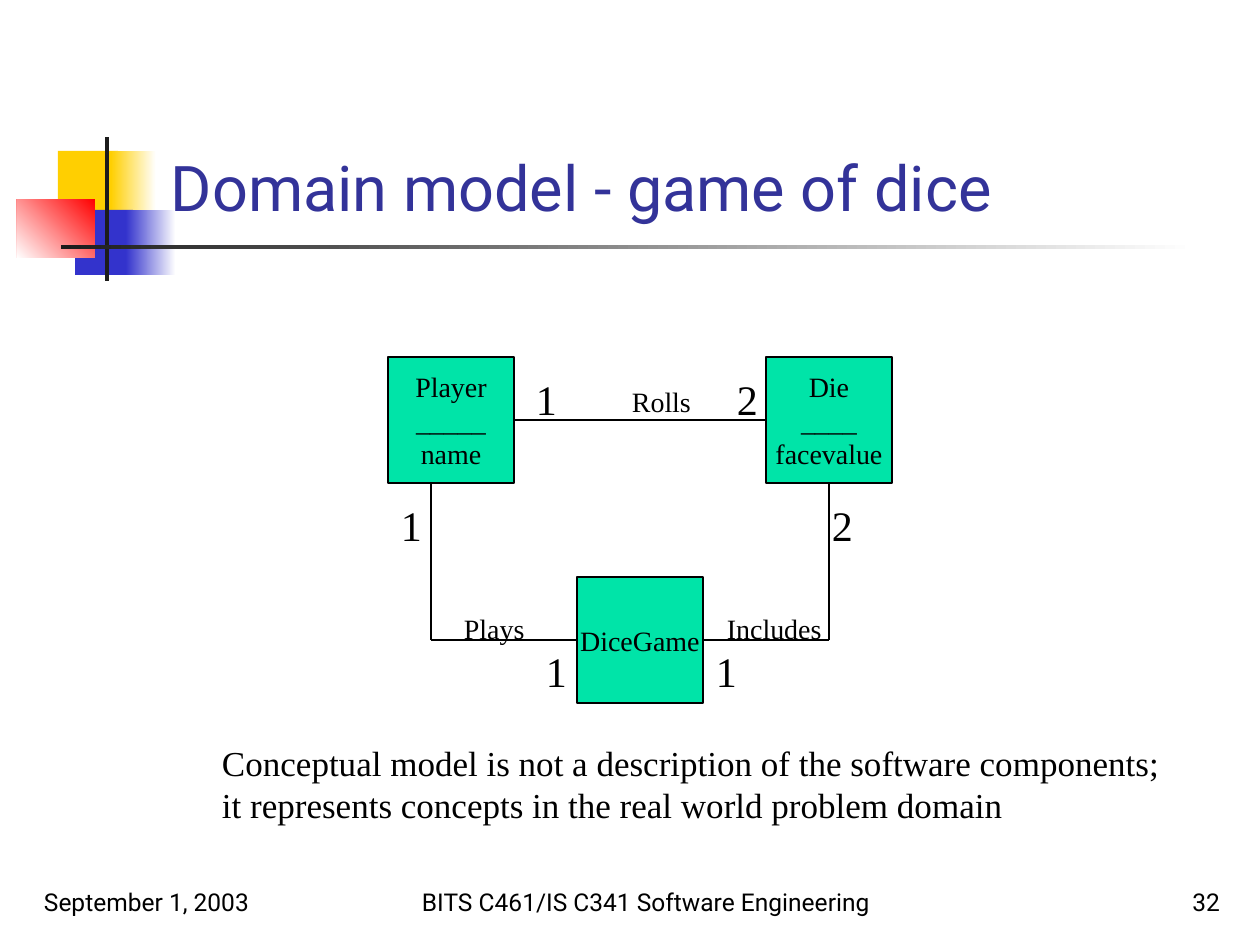
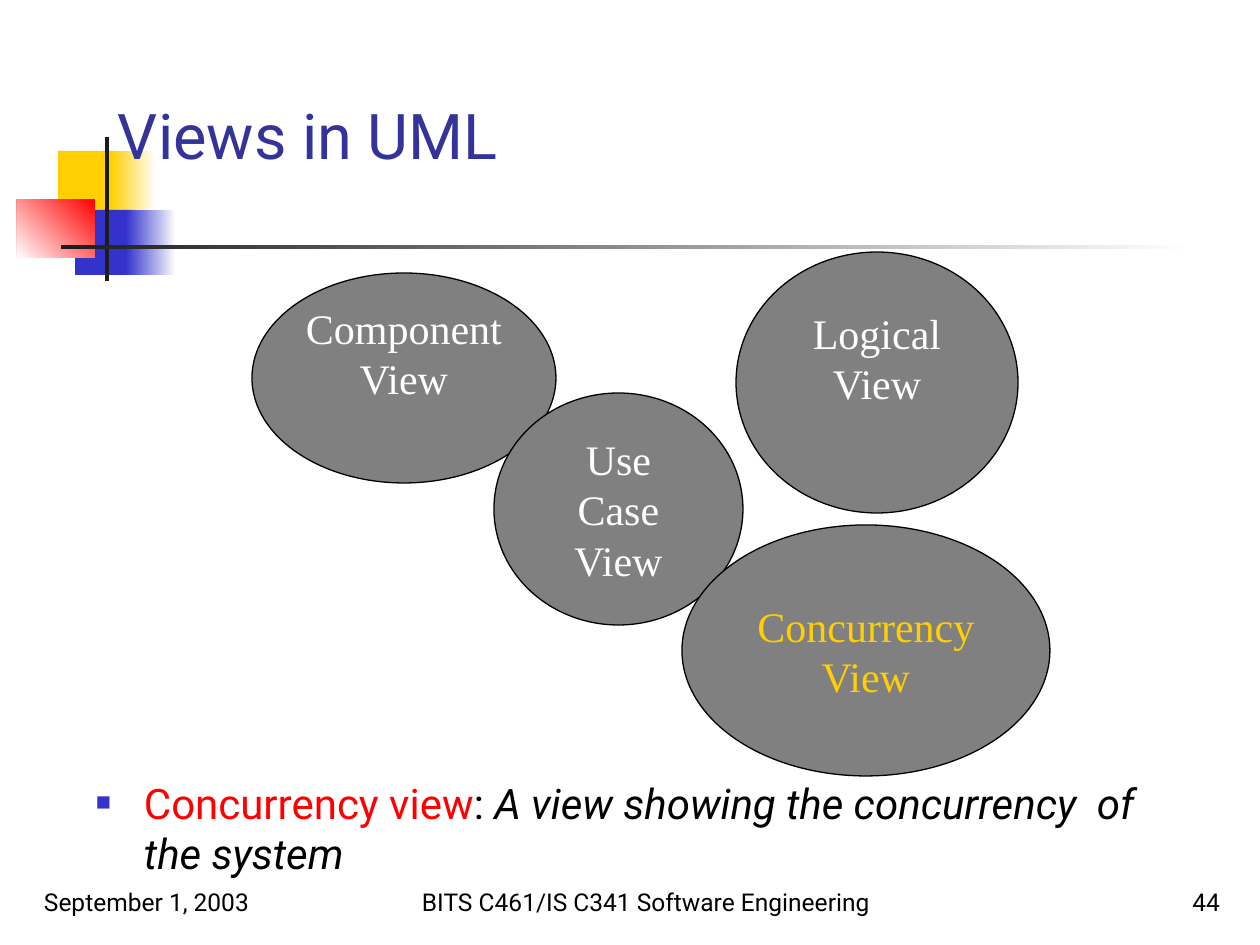
from lxml.etree import SubElement
from pptx import Presentation
from pptx.dml.color import RGBColor
from pptx.enum.shapes import MSO_CONNECTOR, MSO_SHAPE
from pptx.enum.text import MSO_ANCHOR, PP_ALIGN
from pptx.oxml.ns import qn
from pptx.util import Emu, Pt

# Content shared by both slides
DATE = "September 1, 2003"
COURSE = "BITS C461/IS C341 Software Engineering"

# Domain model: name -> (lines, grid column, top)
CLASSES = {
    "player": (["Player", "_____", "name"], 0, 357),
    "die": (["Die", "____", "facevalue"], 2, 357),
    "game": (["DiceGame"], 1, 577),
}
RELATIONS = [("Rolls", 619, 379, 100), ("Plays", 451, 606, 100), ("Includes", 714, 606, 136)]
MULTIPLICITIES = [
    ("1", 523, 368), ("2", 724, 368),
    ("1", 388, 494), ("1", 533, 640),
    ("2", 819, 494), ("1", 703, 640),
]
CAPTION = [
    "Conceptual model is not a description of the software components;",
    "it represents concepts in the real world problem domain",
]

# Views: lines, box, text format, wrap, extra bottom inset that raises the text
VIEWS = [
    (["Component", "View"], (252, 273, 304, 210), "view", False, 50),
    (["Use Case", "View"], (494, 393, 249, 232), "view", True, 0),
    (["Logical", "View"], (736, 252, 282, 261), "view", True, 50),
    (["Concurrency", "View"], (682, 525, 368, 251), "current_view", True, 0),
]
DEFINITION = [
    ("Concurrency view", "term"),
    (": ", "body"),
    ("A view showing the concurrency  of the system", "definition"),
]

# Look
COLORS = {
    "white": "FFFFFF", "black": "000000", "title": "333399", "yellow": "FFCF01",
    "blue": "3333CC", "red": "FF0000", "dark": "1C1C1C", "green": "00E4A8", "gray": "808080",
}
SERIF, SANS = "Times New Roman", "Roboto"
FORMATS = {
    "title": ({"name": SANS, "size": Pt(36)}, "title"),
    "footer": ({"name": SANS, "size": Pt(14)}, "black"),
    "class": ({"name": SERIF, "size": Pt(16)}, "black"),
    "multiplicity": ({"name": SERIF, "size": Pt(24)}, "black"),
    "caption": ({"name": SERIF, "size": Pt(20)}, "black"),
    "view": ({"name": SERIF, "size": Pt(24)}, "white"),
    "current_view": ({"name": SERIF, "size": Pt(24)}, "yellow"),
    "term": ({"name": SANS, "size": Pt(24)}, "red"),
    "body": ({"name": SANS, "size": Pt(24)}, "black"),
    "definition": ({"name": SANS, "size": Pt(24), "italic": True}, "black"),
}
# Corner ornament and rule: box, colour, angle of the fade to white (None = solid)
ORNAMENT = [
    ((58, 151, 60, 66), "yellow", None),
    ((111, 151, 45, 66), "yellow", 0),
    ((75, 210, 58, 65), "blue", None),
    ((126, 210, 50, 65), "blue", 0),
    ((17, 199, 78, 59), "red", 225),
    ((105, 137, 4, 144), "dark", None),
    ((61, 245, 1134, 4), "dark", 0),
]
CLASS_SIZE, COLUMN_STEP, FIRST_COLUMN = 126, 189, 388
PLAYS_X = 431
INSET_X, INSET_Y = 13, 6
LEFT, BOTTOM, RIGHT = 1, 2, 3


def px(value):
    return Emu(round(value * 914400 / 126))


def rgb(name):
    return RGBColor.from_string(COLORS[name])


def add_run(paragraph, text, style):
    run = paragraph.add_run()
    run.text = text
    values, color = FORMATS[style]
    for attribute, value in values.items():
        setattr(run.font, attribute, value)
    run.font.color.rgb = rgb(color)


def fill_text(shape, lines, style, align=PP_ALIGN.LEFT, anchor=MSO_ANCHOR.TOP,
              wrap=True, lift=0):
    """Each line is a string, or a list of (text, style) runs."""
    frame = shape.text_frame
    settings = {
        "word_wrap": wrap, "vertical_anchor": anchor,
        "margin_left": px(INSET_X), "margin_right": px(INSET_X),
        "margin_top": px(INSET_Y), "margin_bottom": px(INSET_Y + lift),
    }
    for attribute, value in settings.items():
        setattr(frame, attribute, value)
    for index, line in enumerate(lines):
        paragraph = frame.add_paragraph() if index else frame.paragraphs[0]
        paragraph.alignment = align
        for text, run_style in [(line, style)] if isinstance(line, str) else line:
            add_run(paragraph, text, run_style)


def add_text(slide, box, lines, style, **options):
    shape = slide.shapes.add_textbox(*map(px, box))
    fill_text(shape, lines, style, **options)
    return shape


def add_figure(slide, kind, box, color, outlined=True):
    shape = slide.shapes.add_shape(kind, *map(px, box))
    shape.shadow.inherit = False
    shape.fill.solid()
    shape.fill.fore_color.rgb = rgb(color)
    if outlined:
        shape.line.color.rgb = rgb("black")
        shape.line.width = Pt(0.75)
    else:
        shape.line.fill.background()
    return shape


def add_line(slide, start, end, begin=None, finish=None):
    """begin and finish are (shape, side) pairs to join."""
    connector = slide.shapes.add_connector(MSO_CONNECTOR.STRAIGHT, *map(px, start + end))
    connector.line.color.rgb = rgb("black")
    connector.line.width = Pt(0.75)
    SubElement(connector._element.spPr, qn("a:effectLst"))
    if begin:
        connector.begin_connect(*begin)
    if finish:
        connector.end_connect(*finish)


def add_bullet(paragraph):
    properties = paragraph._p.get_or_add_pPr()
    properties.set("marL", str(px(48)))
    properties.set("indent", str(px(-48)))
    color = SubElement(properties, qn("a:buClr"))
    SubElement(color, qn("a:srgbClr"), val=COLORS["blue"])
    SubElement(properties, qn("a:buSzPct"), val="60000")
    SubElement(properties, qn("a:buFont"), typeface=SERIF)
    SubElement(properties, qn("a:buChar"), char="■")


def start_slide(presentation, title, title_box, number):
    slide = presentation.slides.add_slide(presentation.slide_layouts[6])
    for box, color, angle in ORNAMENT:
        shape = add_figure(slide, MSO_SHAPE.RECTANGLE, box, color, outlined=False)
        if angle is not None:
            shape.fill.gradient()
            shape.fill.gradient_angle = angle
            for stop, name, position in zip(shape.fill.gradient_stops, (color, "white"), (0, 1)):
                stop.color.rgb = rgb(name)
                stop.position = position
    add_text(slide, title_box, [title], "title", anchor=MSO_ANCHOR.BOTTOM)
    for text, left, width, align in [
        (DATE, 31, 262, PP_ALIGN.LEFT),
        (COURSE, 389, 514, PP_ALIGN.CENTER),
        (number, 971, 262, PP_ALIGN.RIGHT),
    ]:
        add_text(slide, (left, 859, width, 63), [text], "footer",
                 align=align, anchor=MSO_ANCHOR.BOTTOM)
    return slide


def build_domain_model(presentation):
    slide = start_slide(presentation, "Domain model - game of dice", (158, 136, 1074, 94), "32")
    # Classes
    shapes, centers = {}, {}
    for name, (lines, column, top) in CLASSES.items():
        left = FIRST_COLUMN + column * COLUMN_STEP
        shape = add_figure(slide, MSO_SHAPE.RECTANGLE,
                           (left, top, CLASS_SIZE, CLASS_SIZE), "green")
        fill_text(shape, lines, "class", align=PP_ALIGN.CENTER,
                  anchor=MSO_ANCHOR.MIDDLE, wrap=False)
        shapes[name] = shape
        centers[name] = (left + CLASS_SIZE // 2, top + CLASS_SIZE // 2)
    # Relations
    player, die, game = (shapes[name] for name in ("player", "die", "game"))
    bottom = CLASSES["player"][2] + CLASS_SIZE
    plays_corner = (PLAYS_X, centers["game"][1])
    includes_corner = (centers["die"][0], centers["game"][1])
    add_line(slide, centers["player"], centers["die"], (player, RIGHT), (die, LEFT))
    add_line(slide, centers["game"], plays_corner, begin=(game, LEFT))
    add_line(slide, plays_corner, (PLAYS_X, bottom))
    add_line(slide, centers["game"], includes_corner, begin=(game, RIGHT))
    add_line(slide, includes_corner, centers["die"], finish=(die, BOTTOM))
    # Labels
    for text, left, top, width in RELATIONS:
        add_text(slide, (left, top, width, 47), [text], "class")
    for text, left, top in MULTIPLICITIES:
        add_text(slide, (left, top, 66, 63), [text], "multiplicity")
    add_text(slide, (209, 735, 1000, 97), CAPTION, "caption")


def build_views(presentation):
    slide = start_slide(presentation, "Views in UML", (105, 84, 1071, 94), "44")
    for lines, box, style, wrap, lift in VIEWS:
        ellipse = add_figure(slide, MSO_SHAPE.OVAL, box, "gray")
        fill_text(ellipse, lines, style, align=PP_ALIGN.CENTER,
                  anchor=MSO_ANCHOR.MIDDLE, wrap=wrap, lift=lift)
    definition = add_text(slide, (83, 771, 1071, 131), [DEFINITION], "body")
    add_bullet(definition.text_frame.paragraphs[0])


def main():
    presentation = Presentation()
    presentation.slide_width, presentation.slide_height = px(1260), px(945)
    build_domain_model(presentation)
    build_views(presentation)
    presentation.save("out.pptx")


if __name__ == "__main__":
    main()
